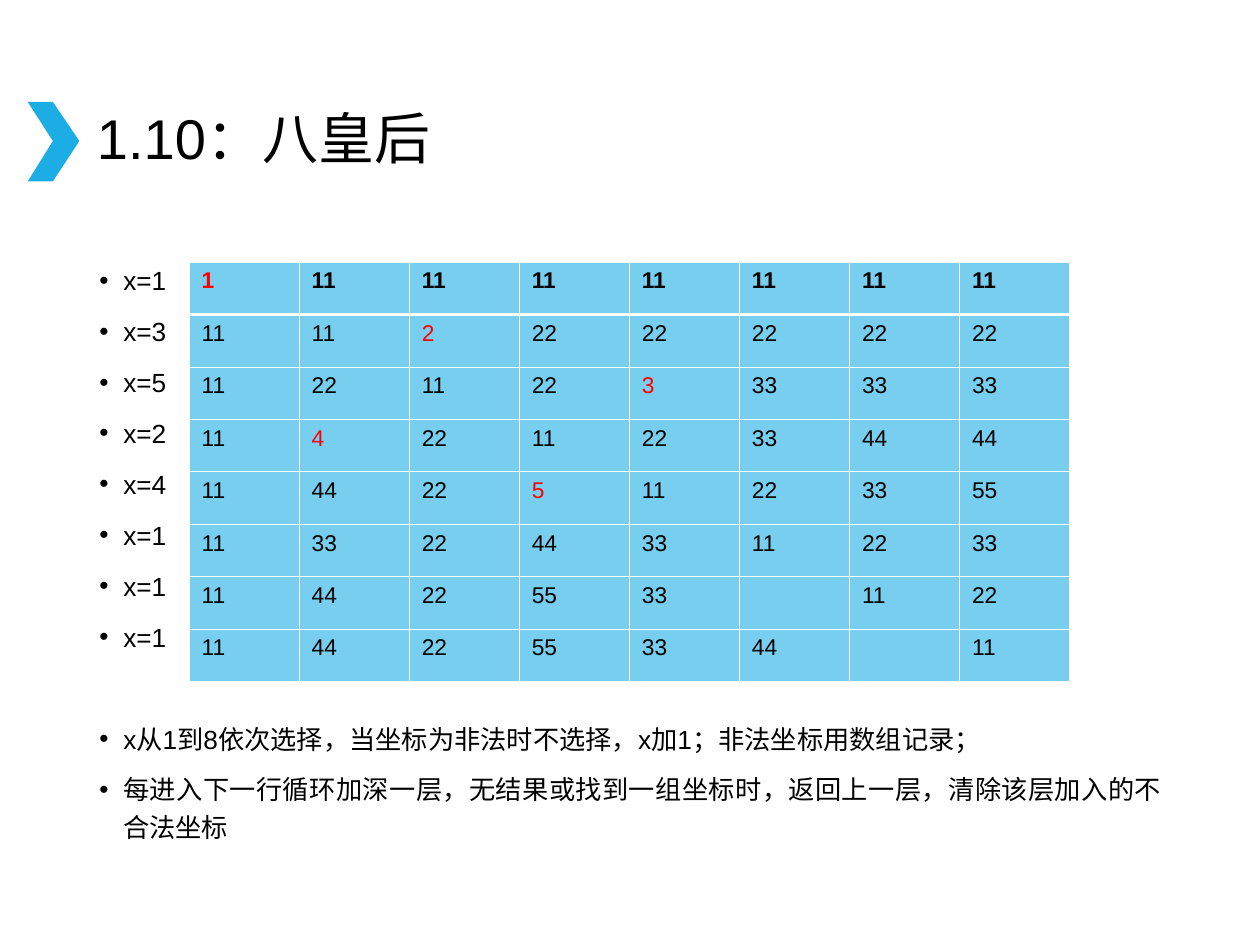
from lxml import etree
from pptx import Presentation, util as u
from pptx.dml.color import RGBColor
from pptx.enum import text
from pptx.oxml.ns import qn

TITLE = "1.10：八皇后"
CHOICES = ["x=1", "x=3", "x=5", "x=2", "x=4", "x=1", "x=1", "x=1"]
NOTES = [
    "x从1到8依次选择，当坐标为非法时不选择，x加1；非法坐标用数组记录；",
    "每进入下一行循环加深一层，无结果或找到一组坐标时，返回上一层，清除该层加入的不合法坐标",
]
BOARD = [
    ["1", "11", "11", "11", "11", "11", "11", "11"],
    ["11", "11", "2", "22", "22", "22", "22", "22"],
    ["11", "22", "11", "22", "3", "33", "33", "33"],
    ["11", "4", "22", "11", "22", "33", "44", "44"],
    ["11", "44", "22", "5", "11", "22", "33", "55"],
    ["11", "33", "22", "44", "33", "11", "22", "33"],
    ["11", "44", "22", "55", "33", "", "11", "22"],
    ["11", "44", "22", "55", "33", "44", "", "11"],
]
CHEVRON = [(0.22, 0.81), (0.42, 0.81), (0.63, 1.12), (0.42, 1.44), (0.22, 1.44), (0.42, 1.12)]
TITLE_BOX = (0.69, 0.4, 8.63, 1.45)
BODY_BOX = (0.69, 2, 8.63, 4.76)
BOARD_BOX = (1.5, 2.08, 6.99, 3.33)
THEME = {
    "font": "Arial", "ink": "000000", "queen": "FF0000", "accent": "1CADE4",
    "cell": "77CEEF", "grid": "FFFFFF", "title": 32, "body": 15, "number": 13,
    "thin": 0.45, "thick": 1.47, "gap": 7.5, "section_gap": 36.5,
}


def apply(target, values):
    for name, value in values.items():
        setattr(target, name, value)


def write(paragraph, words, size, color="ink", bold=False):
    run = paragraph.add_run()
    run.text = words
    apply(run.font, {"name": THEME["font"], "size": u.Pt(THEME[size]), "bold": bold})
    run.font.color.rgb = RGBColor.from_string(THEME[color])


def add_text_frame(slide, box, margin_x, margin_y, anchor):
    frame = slide.shapes.add_textbox(*map(u.Inches, box)).text_frame
    apply(frame, {
        "word_wrap": True, "vertical_anchor": anchor,
        "margin_left": u.Inches(margin_x), "margin_right": u.Inches(margin_x),
        "margin_top": u.Inches(margin_y), "margin_bottom": u.Inches(margin_y),
    })
    return frame


def add_bullet(paragraph):
    properties = paragraph._p.get_or_add_pPr()
    indent = u.Inches(0.19)
    properties.set("marL", str(indent))
    properties.set("indent", str(-indent))
    color = etree.SubElement(properties, qn("a:buClr"))
    etree.SubElement(color, qn("a:srgbClr"), val=THEME["ink"])
    etree.SubElement(properties, qn("a:buFont"), typeface=THEME["font"])
    etree.SubElement(properties, qn("a:buChar"), char="•")


def add_borders(cell, row):
    widths = {"L": "thin", "R": "thin", "T": "thick" if row == 1 else "thin",
              "B": "thick" if row == 0 else "thin"}
    properties = cell._tc.get_or_add_tcPr()
    for side, width in widths.items():
        line = etree.SubElement(properties, qn(f"a:ln{side}"), w=str(u.Pt(THEME[width])))
        fill = etree.SubElement(line, qn("a:solidFill"))
        etree.SubElement(fill, qn("a:srgbClr"), val=THEME["grid"])


def add_chevron(slide):
    points = [(u.Inches(x), u.Inches(y)) for x, y in CHEVRON]
    builder = slide.shapes.build_freeform(*points[0])
    builder.add_line_segments(points[1:], close=True)
    shape = builder.convert_to_shape()
    shape.shadow.inherit = False
    shape.fill.solid()
    shape.fill.fore_color.rgb = RGBColor.from_string(THEME["accent"])
    shape.line.fill.background()


def add_title(slide):
    frame = add_text_frame(slide, TITLE_BOX, 0.08, 0.04, text.MSO_ANCHOR.MIDDLE)
    paragraph = frame.paragraphs[0]
    paragraph.line_spacing = 0.9
    write(paragraph, TITLE, "title")


def add_body(slide):
    frame = add_text_frame(slide, BODY_BOX, 0.1, 0.05, text.MSO_ANCHOR.TOP)
    for index, words in enumerate(CHOICES + NOTES):
        paragraph = frame.add_paragraph() if index else frame.paragraphs[0]
        gap = "section_gap" if index == len(CHOICES) else "gap"
        apply(paragraph, {
            "alignment": text.PP_ALIGN.JUSTIFY, "line_spacing": 1.2,
            "space_before": u.Pt(THEME[gap]),
        })
        add_bullet(paragraph)
        write(paragraph, words, "body")


def add_board(slide):
    size = len(BOARD)
    left, top, width, height = map(u.Inches, BOARD_BOX)
    table = slide.shapes.add_table(size, size, left, top, width, height).table
    apply(table, {"first_row": False, "horz_banding": False})
    for row, values in enumerate(BOARD):
        for column, value in enumerate(values):
            cell = table.cell(row, column)
            add_borders(cell, row)
            cell.fill.solid()
            cell.fill.fore_color.rgb = RGBColor.from_string(THEME["cell"])
            if value:
                color = "queen" if len(value) == 1 else "ink"
                write(cell.text_frame.paragraphs[0], value, "number", color, row == 0)


def main():
    presentation = Presentation()
    apply(presentation, {"slide_width": u.Inches(10), "slide_height": u.Inches(7.5)})
    slide = presentation.slides.add_slide(presentation.slide_layouts[6])
    for add_part in (add_chevron, add_title, add_body, add_board):
        add_part(slide)
    presentation.save("out.pptx")


if __name__ == "__main__":
    main()
